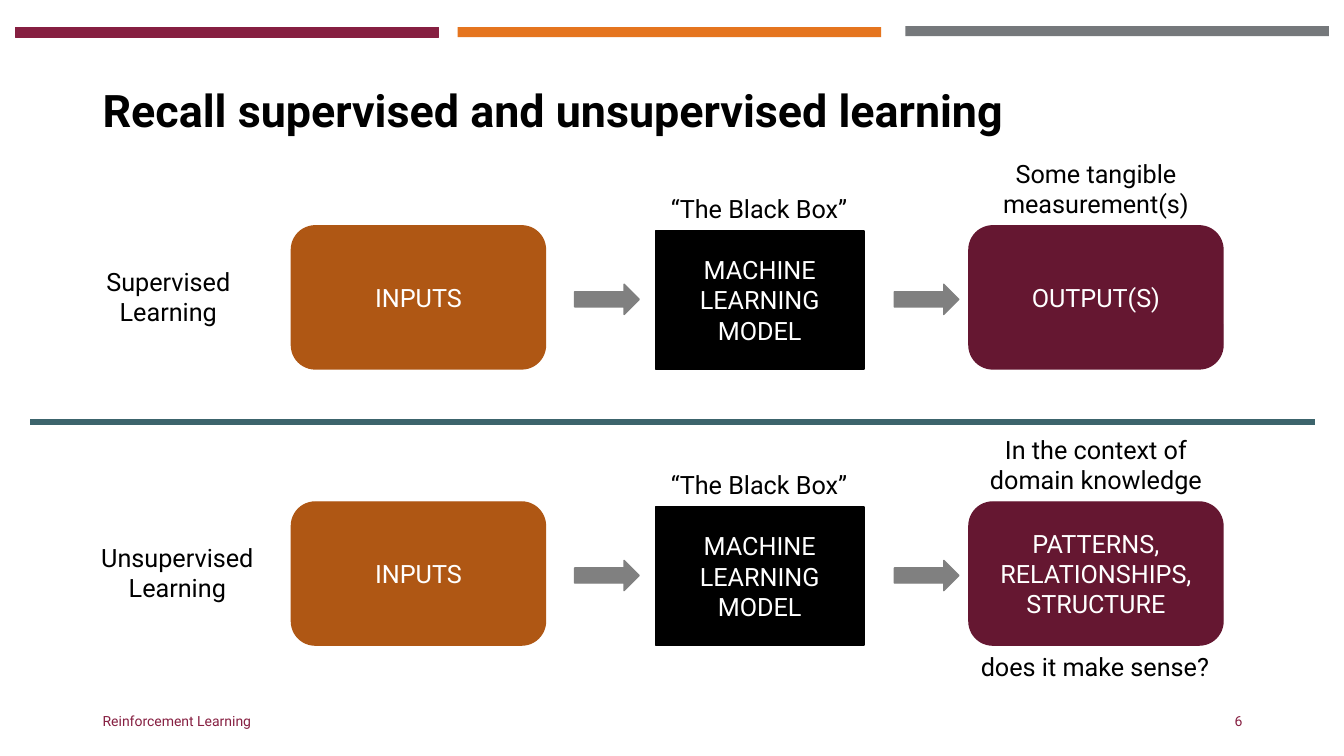
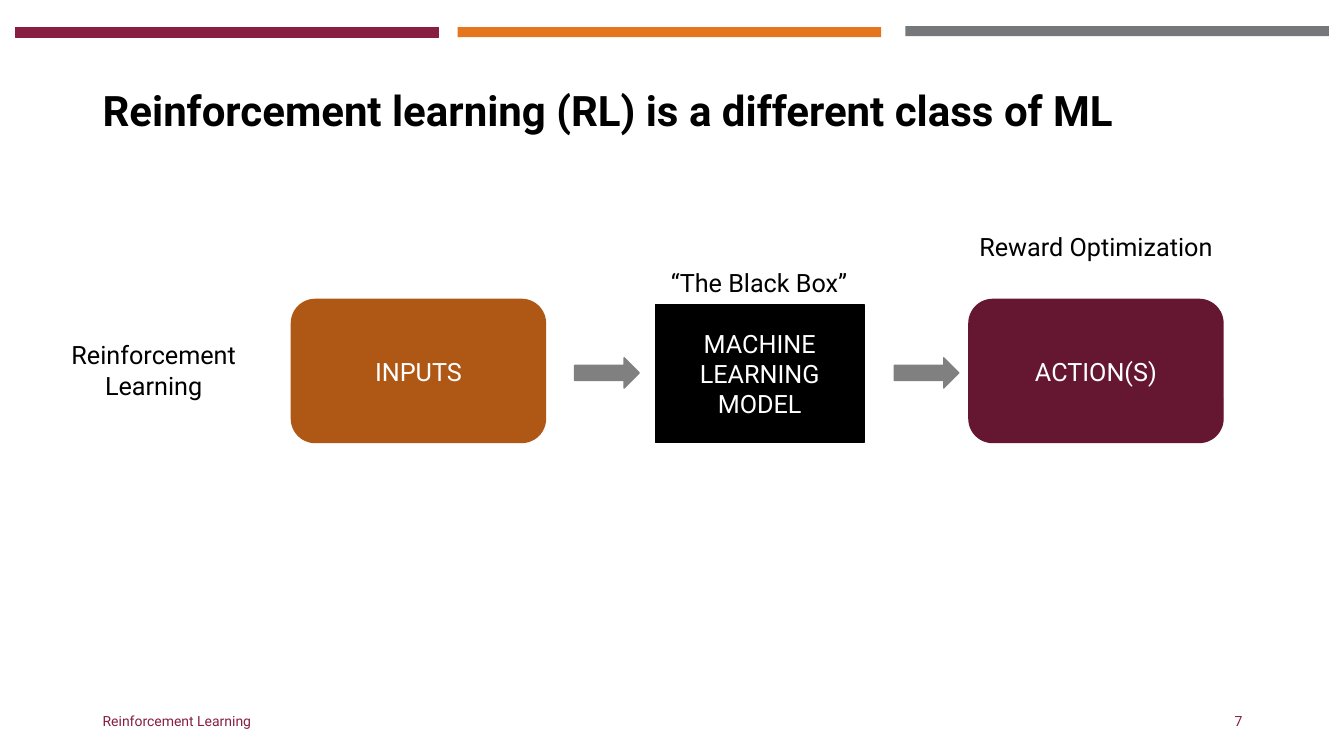
from lxml import etree
from pptx import Presentation
from pptx.dml.color import RGBColor
from pptx.enum.shapes import MSO_CONNECTOR, MSO_SHAPE
from pptx.enum.text import MSO_ANCHOR, PP_ALIGN
from pptx.oxml.ns import qn
from pptx.util import Inches, Pt

RECTANGLE = MSO_SHAPE.RECTANGLE
ROUNDED = MSO_SHAPE.ROUNDED_RECTANGLE
RIGHT_ARROW = MSO_SHAPE.RIGHT_ARROW
STRAIGHT = MSO_CONNECTOR.STRAIGHT
LEFT, CENTER, RIGHT = PP_ALIGN.LEFT, PP_ALIGN.CENTER, PP_ALIGN.RIGHT
TOP, MIDDLE = MSO_ANCHOR.TOP, MSO_ANCHOR.MIDDLE

COLORS = {
    "maroon": "861F41",
    "orange": "E5751F",
    "gray": "75787B",
    "input": "AF5714",
    "output": "651731",
    "arrow": "808080",
    "divider": "3C646C",
    "black": "000000",
    "white": "FFFFFF",
}
FONT = "Roboto"
BODY = {"size": Pt(18)}
FOOTER = {"size": Pt(10)}

MARGIN = 0.92
CONTENT_WIDTH = 11.5
FOOTER_TOP = 6.95
FOOTER_HEIGHT = 0.4
BOX_WIDTH = 2.52
BOX_HEIGHT = 1.42
INPUT_LEFT = 2.89
MODEL_LEFT = 6.5
MODEL_WIDTH = 2.07
MODEL_DROP = 0.05
OUTPUT_LEFT = 9.61
ARROW_LEFTS = (5.7, 8.87)
LINE_HEIGHT = 0.4
TWO_LINES = 0.71


def color(name):
    return RGBColor.from_string(COLORS[name])


def inches(box):
    return [Inches(value) for value in box]


def write(shape, text, font_color, format_values, align=CENTER, anchor=MIDDLE, spacing=None):
    frame = shape.text_frame
    frame.word_wrap = True
    frame.vertical_anchor = anchor
    frame.text = text
    for paragraph in frame.paragraphs:
        paragraph.alignment = align
        if spacing:
            paragraph.line_spacing = spacing
        for run in paragraph.runs:
            for name, value in {"name": FONT, **format_values}.items():
                setattr(run.font, name, value)
            run.font.color.rgb = color(font_color)


def add_text(slide, box, text, font_color="black", format_values=BODY, **options):
    write(slide.shapes.add_textbox(*inches(box)), text, font_color, format_values, **options)


def add_block(slide, kind, box, fill, text="", line_width=1):
    shape = slide.shapes.add_shape(kind, *inches(box))
    shape.shadow.inherit = False
    shape.fill.solid()
    shape.fill.fore_color.rgb = color(fill)
    if line_width:
        shape.line.color.rgb = color(fill)
        shape.line.width = Pt(line_width)
    else:
        shape.line.fill.background()
    if text:
        write(shape, text, "white", BODY)


def add_divider(slide, left, right, top):
    divider = slide.shapes.add_connector(STRAIGHT, *inches((left, top, right, top)))
    divider.line.color.rgb = color("divider")
    divider.line.width = Pt(4.5)
    etree.SubElement(divider._element.spPr, qn("a:effectLst"))


def add_slide(presentation, title, title_size, number):
    slide = presentation.slides.add_slide(presentation.slide_layouts[6])
    for left, top, fill, line_width in (
        (0.15, 0.27, "maroon", 0.75),
        (4.54, 0.27, "orange", 0),
        (8.98, 0.26, "gray", 0),
    ):
        add_block(slide, RECTANGLE, (left, top, 4.2, 0.1), fill, line_width=line_width)
    add_text(slide, (MARGIN, 0.4, CONTENT_WIDTH, 1.45), title,
             format_values={"size": Pt(title_size), "bold": True},
             align=LEFT, anchor=MIDDLE, spacing=0.9)
    for text, width, left, align in (
        ("Reinforcement Learning", 4.5, MARGIN, LEFT),
        (str(number), 3, MARGIN + CONTENT_WIDTH - 3, RIGHT),
    ):
        add_text(slide, (left, FOOTER_TOP, width, FOOTER_HEIGHT), text, "maroon", FOOTER, align=align)
    return slide


def add_pipeline(slide, top, label, label_left, label_width, output, caption):
    add_text(slide, (label_left, top + 0.35, label_width, TWO_LINES), label, anchor=TOP)
    add_block(slide, ROUNDED, (INPUT_LEFT, top, BOX_WIDTH, BOX_HEIGHT), "input", "INPUTS")
    add_block(slide, RECTANGLE,
              (MODEL_LEFT, top + MODEL_DROP, MODEL_WIDTH, BOX_HEIGHT - MODEL_DROP),
              "black", "MACHINE LEARNING MODEL")
    add_text(slide, (MODEL_LEFT - 0.25, top - 0.37, 2.56, LINE_HEIGHT), "“The Black Box”", anchor=TOP)
    for left in ARROW_LEFTS:
        add_block(slide, RIGHT_ARROW, (left, top + 0.58, 0.64, 0.3), "arrow")
    add_block(slide, ROUNDED, (OUTPUT_LEFT, top, BOX_WIDTH, BOX_HEIGHT), "output", output)
    add_text(slide, (OUTPUT_LEFT, top - 0.72, BOX_WIDTH, TWO_LINES), caption, anchor=TOP)


def main():
    presentation = Presentation()
    presentation.slide_width = Inches(13.33)
    presentation.slide_height = Inches(7.5)

    recall = add_slide(presentation, "Recall supervised and unsupervised learning", 32, 6)
    add_pipeline(recall, 2.24, "Supervised Learning", 0.72, 1.9,
                 "OUTPUT(S)", "Some tangible measurement(s)")
    add_divider(recall, 0.3, 13.04, 4.19)
    add_pipeline(recall, 4.98, "Unsupervised Learning", 0.81, 1.9,
                 "PATTERNS,\nRELATIONSHIPS, STRUCTURE", "In the context of domain knowledge")
    add_text(recall, (9.45, 6.41, 2.82, LINE_HEIGHT), "does it make sense?", anchor=TOP)

    reinforcement = add_slide(
        presentation, "Reinforcement learning (RL) is a different class of ML", 30, 7)
    add_pipeline(reinforcement, 2.97, "Reinforcement Learning", 0.44, 2.17,
                 "ACTION(S)", "Reward Optimization")

    presentation.save("out.pptx")


if __name__ == "__main__":
    main()
